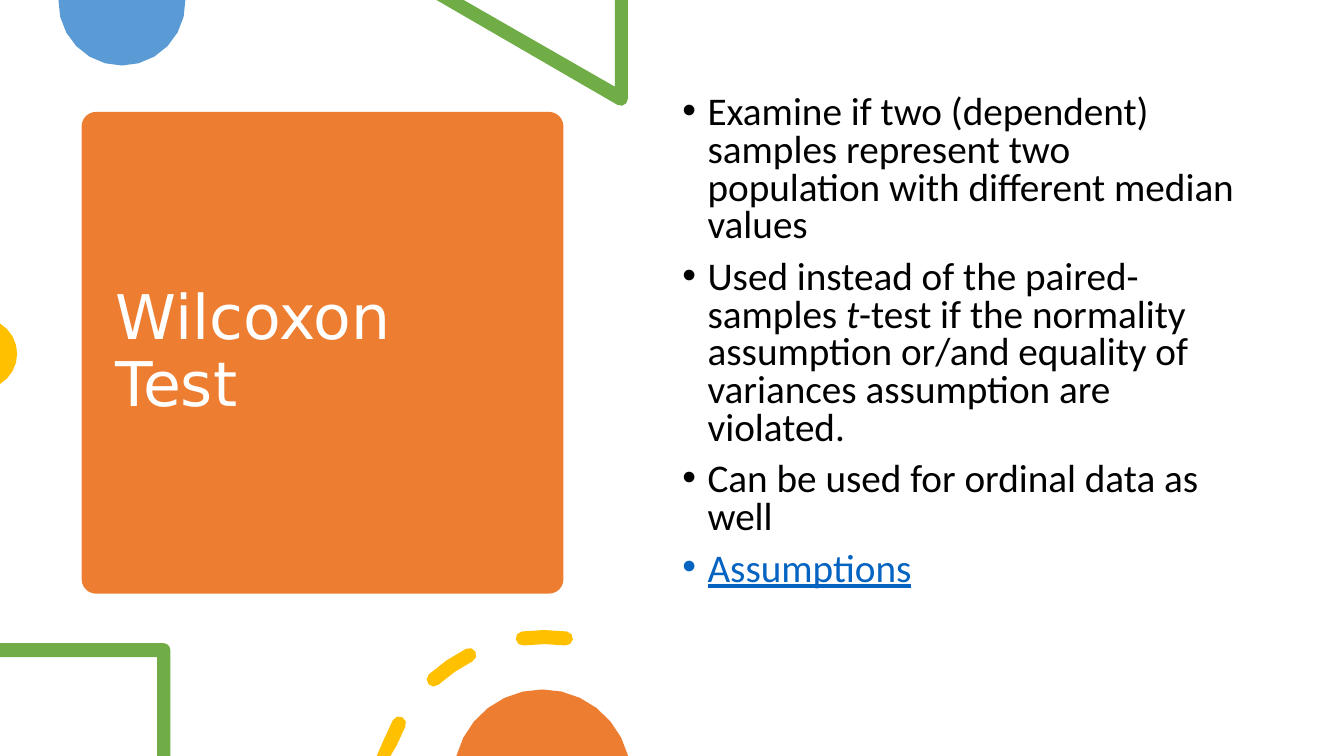
"""Build the Wilcoxon Test slide."""
from math import cos, radians, sin

from lxml import etree
from pptx import Presentation
from pptx.dml.color import RGBColor
from pptx.enum.shapes import MSO_SHAPE
from pptx.enum.text import MSO_ANCHOR, MSO_AUTO_SIZE, PP_ALIGN
from pptx.oxml.ns import qn
from pptx.util import Inches, Pt

ROUNDED = MSO_SHAPE.ROUNDED_RECTANGLE
MIDDLE, TOP = MSO_ANCHOR.MIDDLE, MSO_ANCHOR.TOP
LEFT = PP_ALIGN.LEFT
NO_FIT = MSO_AUTO_SIZE.NONE

ORANGE = RGBColor(0xED, 0x7D, 0x31)
BLUE = RGBColor(0x5B, 0x9B, 0xD5)
GREEN = RGBColor(0x70, 0xAD, 0x47)
YELLOW = RGBColor(0xFF, 0xC0, 0x00)
LINK = RGBColor(0x05, 0x63, 0xC1)
BLACK = RGBColor(0, 0, 0)
WHITE = RGBColor(0xFF, 0xFF, 0xFF)

COLS, ROWS = 40 / 3, 7.5
CELL = Inches(1)

BULLETS = [
    [("Examine if two (dependent) samples represent two population "
      "with different median values", {})],
    [("Used instead of the paired-samples ", {}),
     ("t", {"italic": True}),
     ("-test if the normality assumption or/and equality of variances "
      "assumption are violated.", {})],
    [("Can be used for ordinal data as well", {})],
    [("Assumptions", {"color": LINK, "underline": True})],
]


def grid(*cells):
    """Turn grid columns and rows into slide lengths."""
    return [round(n * CELL) for n in cells]


def paint(shape, color):
    """Give a shape a flat fill without line or shadow."""
    shape.shadow.inherit = False
    shape.fill.solid()
    shape.fill.fore_color.rgb = color
    shape.line.fill.background()


def arc(cx, cy, radius, start, end, steps):
    """Return points along a circle, in clockwise degrees from the right."""
    angles = [radians(start + (end - start) * i / steps)
              for i in range(steps + 1)]
    return [(cx + radius * cos(a), cy + radius * sin(a)) for a in angles]


def add_outline(s, color, *contours):
    """Draw one filled shape of closed contours, cut at the slide's edges."""
    builder = None
    for points in contours:
        inside = [grid(min(max(x, 0), COLS), min(max(y, 0), ROWS))
                  for x, y in points]
        if builder is None:
            builder = s.shapes.build_freeform(*inside[0])
        else:
            builder.move_to(*inside[0])
        builder.add_line_segments(inside[1:], close=True)
    paint(builder.convert_to_shape(), color)


def dash(cx, cy, radius, start, sweep, half):
    """Return the contour of one round-ended dash of a circle."""
    end = start + sweep
    (x1, y1), (x2, y2) = arc(cx, cy, radius, start, end, 1)
    return (arc(cx, cy, radius + half, start, end, 2)
            + arc(x2, y2, half, end, end + 180, 4)[1:-1]
            + arc(cx, cy, radius - half, end, start, 2)
            + arc(x1, y1, half, start + 180, start + 360, 4)[1:-1])


def add_text(p, text, font="Calibri", size=28, color=BLACK,
             italic=False, underline=False):
    """Add a formatted run to a paragraph."""
    r = p.add_run()
    r.text = text
    r.font.name, r.font.size = font, Pt(size)
    r.font.color.rgb = color
    r.font.italic, r.font.underline = italic, underline


def place(ph, cells, anchor):
    """Position a placeholder and return its text frame."""
    ph.left, ph.top, ph.width, ph.height = grid(*cells)
    tf = ph.text_frame
    tf.word_wrap = True
    tf.auto_size = NO_FIT
    tf.vertical_anchor = anchor
    return tf


def add_title(s):
    """Set the title on its rounded card."""
    card = s.shapes.add_shape(ROUNDED, *grid(0.81, 1.11, 4.78, 4.78))
    card.adjustments[0] = 0.03
    paint(card, ORANGE)
    title = s.shapes.title
    title._element.addprevious(card._element)
    p = place(title, (1.05, 1.22, 4.31, 4.56), MIDDLE).paragraphs[0]
    p.alignment = LEFT
    p.line_spacing = 0.9
    add_text(p, "Wilcoxon Test", font="DejaVu Sans", size=44, color=WHITE)


def add_bullets(s):
    """Fill the body placeholder with the bulleted list."""
    tf = place(s.placeholders[1], (6.67, 0.9, 5.75, 5.35), TOP)
    for i, runs in enumerate(BULLETS):
        p = tf.add_paragraph() if i else tf.paragraphs[0]
        p.line_spacing = 0.8
        p.space_before = Pt(10 if i else 0)
        pPr = p._p.get_or_add_pPr()
        pPr.set("marL", str(CELL // 4))
        pPr.set("indent", str(-CELL // 4))
        etree.SubElement(pPr, qn("a:buFont")).set("typeface", "Arial")
        etree.SubElement(pPr, qn("a:buChar")).set("char", "•")
        for text, style in runs:
            add_text(p, text, **style)


def add_decoration(s):
    """Draw the circles, frames and dashes around the card."""
    add_outline(s, BLUE, arc(1.21, 0.02, 0.63, -2, 182, 12))
    add_outline(s, GREEN, [(6.23, 0), (6.1, 0), (6.1, 0.86), (4.6, 0),
                           (4.33, 0)] + arc(6.16, 0.98, 0.07, 120, 0, 3))
    add_outline(s, YELLOW, arc(-0.18, 3.51, 0.35, -59, 59, 8))
    add_outline(s, GREEN, [(0, 6.38), (0, 6.52), (1.56, 6.52),
                           (1.56, ROWS), (1.69, ROWS)]
                + arc(1.62, 6.45, 0.07, 0, -90, 3))
    add_outline(s, YELLOW, *[dash(5.4, 7.96, 1.64, 193.5 + 34.5 * i, 15, 0.07)
                             for i in range(3)])
    add_outline(s, ORANGE, arc(5.38, 7.72, 0.88, 194.5, 345.5, 12))


def main():
    """Build and save the slide."""
    prs = Presentation()
    prs.slide_width, prs.slide_height = grid(COLS, ROWS)
    s = prs.slides.add_slide(prs.slide_layouts[1])
    add_title(s)
    add_bullets(s)
    add_decoration(s)
    prs.save("out.pptx")


if __name__ == "__main__":
    main()
